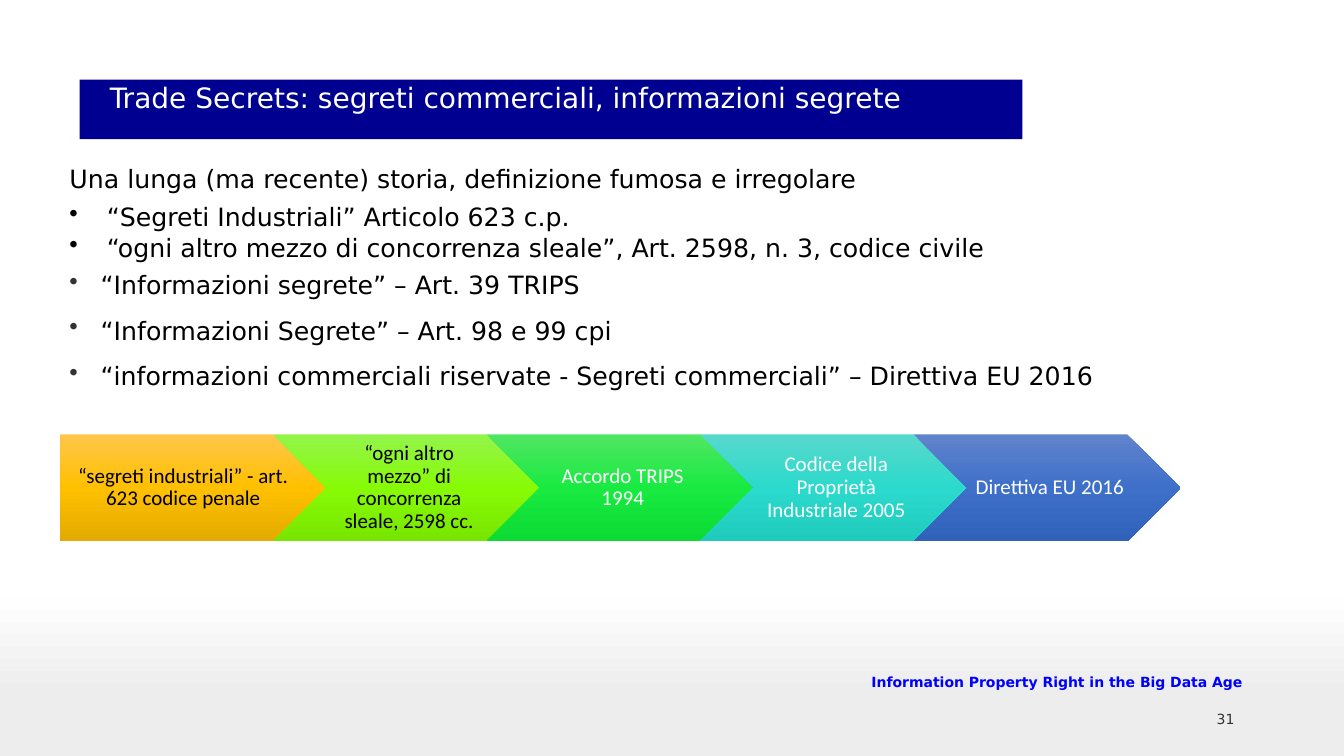
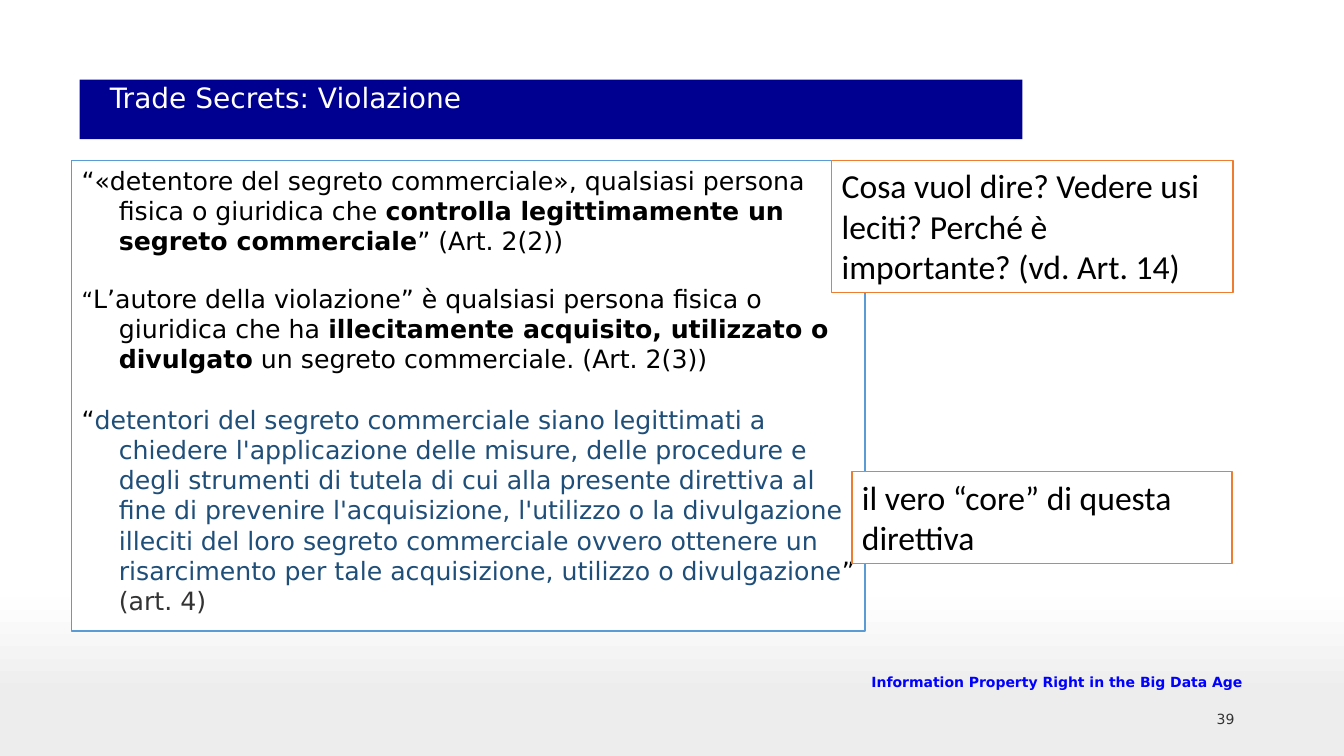
from copy import deepcopy
from dataclasses import dataclass

from lxml.etree import SubElement
from pptx import Presentation
from pptx.dml.color import RGBColor
from pptx.enum.shapes import MSO_SHAPE as Preset
from pptx.enum.text import MSO_ANCHOR as Anchor, PP_ALIGN as Align
from pptx.oxml.ns import qn
from pptx.util import Inches, Pt


@dataclass(frozen=True)
class Theme:
    sans: str = "DejaVu Sans"
    label: str = "Calibri"
    black: str = "000000"
    white: str = "FFFFFF"
    grey: str = "333333"
    navy: str = "000090"
    blue: str = "0000FF"
    quote_blue: str = "1F4E79"
    frame_blue: str = "5B9BD5"
    frame_orange: str = "ED7D31"
    background: tuple = ((0, "FFFFFF"), (0.79, "FEFEFE"), (0.92, "EDEDED"))
    small: int = 10
    arrow: int = 15
    body: int = 18
    title: int = 20
    callout: int = 24


THEME = Theme()
WIDTH, HEIGHT = Inches(13.33), Inches(7.5)

TITLE_AREA = (5.93, 10.53, 70.14, 7.87)
FOOTER_AREA = (59.26, 87.73, 33.91, 5.07)
NUMBER_AREA = (71.72, 93.33, 20.86, 4.4)
BODY_AREA = (4.43, 20.93, 83.42, 63.33)
TIMELINE_AREA = (4.43, 57.47, 83.42, 14.13)
QUOTES_AREA = (5.33, 21.2, 59.04, 62.27)
ARROW_STEP = 0.8

FOOTER = "Information Property Right in the Big Data Age"
PLAIN = {"before": 5, "after": 6}
WIDE_BULLET = {"hang": 0.37, "bullet": THEME.black}
GREY_BULLET = {"hang": 0.31, "bullet": THEME.grey, "before": 5, "after": 6}

HISTORY = [
    ("Una lunga (ma recente) storia, definizione fumosa e irregolare", {"after": 6}),
    ("“Segreti Industriali” Articolo 623 c.p.", WIDE_BULLET),
    ("“ogni altro mezzo di concorrenza sleale”, Art. 2598, n. 3, codice civile", WIDE_BULLET),
    ("“Informazioni segrete” – Art. 39 TRIPS", GREY_BULLET),
    ("“Informazioni Segrete” – Art. 98 e 99 cpi", GREY_BULLET),
    ("“informazioni commerciali riservate - Segreti commerciali” – Direttiva EU 2016", GREY_BULLET),
]

TIMELINE = [
    ("“segreti industriali” - art. 623 codice penale", THEME.black, ("FFC64B", "FFC000", "E3AB00")),
    ("“ogni altro mezzo” di concorrenza sleale, 2598 cc.", THEME.black, ("94F44C", "87FB06", "78E500")),
    ("Accordo TRIPS 1994", THEME.white, ("51E663", "19EA42", "0CDB34")),
    ("Codice della Proprietà Industriale 2005", THEME.white, ("58D8CC", "2BDACC", "1ECBBD")),
    ("Direttiva EU 2016", THEME.white, ("6183CB", "3E70CA", "3062BB")),
]

QUOTES = [
    (0, [
        ("“«detentore del segreto commerciale», qualsiasi persona fisica o giuridica che ", {}),
        ("controlla legittimamente un segreto commerciale", {"bold": True}),
        ("” (Art. 2(2))", {}),
    ]),
    (19.5, [
        ("“", {"size": 16}),
        ("L’autore della violazione” è qualsiasi persona fisica o giuridica che ha ", {}),
        ("illecitamente acquisito, utilizzato o divulgato", {"bold": True}),
        (" un segreto commerciale. (Art. 2(3))", {}),
    ]),
    (21.5, [
        ("“", {}),
        ("detentori del segreto commerciale siano legittimati a chiedere l'applicazione delle "
         "misure, delle procedure e degli strumenti di tutela di cui alla presente direttiva al "
         "fine di prevenire l'acquisizione, l'utilizzo o la divulgazione illeciti del loro segreto "
         "commerciale ovvero ottenere un risarcimento per tale acquisizione, utilizzo o "
         "divulgazione", {"color": THEME.quote_blue}),
        ("” ", {}),
        ("(art. 4)", {"color": THEME.grey}),
    ]),
]

CALLOUTS = [
    ("il vero “core” di questa direttiva", (63.39, 62.4, 28.28, 12.13)),
    ("Cosa vuol dire? Vedere usi leciti? Perché è importante? (vd. Art. 14)",
     (61.89, 21.2, 29.86, 17.47)),
]


def place(area):
    left, top, width, height = area
    return (int(WIDTH * left / 100), int(HEIGHT * top / 100),
            int(WIDTH * width / 100), int(HEIGHT * height / 100))


def paint_gradient(fill, element, stops):
    fill.gradient()
    fill.gradient_angle = 270
    stop_list = element.find(".//" + qn("a:gsLst"))
    stop_list.append(deepcopy(stop_list[-1]))
    for stop, (position, color) in zip(fill.gradient_stops, stops):
        stop.position = position
        stop.color.rgb = RGBColor.from_string(color)


def prepare_frame(shape, anchor, insets=(0.1, 0.05, 0.1, 0.05)):
    frame = shape.text_frame
    frame.word_wrap = True
    frame.vertical_anchor = anchor
    frame.margin_left, frame.margin_top, frame.margin_right, frame.margin_bottom = map(Inches, insets)
    return frame


def add_text_box(slide, area, anchor=Anchor.TOP):
    return prepare_frame(slide.shapes.add_textbox(*place(area)), anchor)


def add_panel(slide, area, fill, line=None):
    shape = slide.shapes.add_shape(Preset.RECTANGLE, *place(area))
    shape.shadow.inherit = False
    shape.fill.solid()
    shape.fill.fore_color.rgb = RGBColor.from_string(fill)
    if line:
        shape.line.color.rgb = RGBColor.from_string(line)
        shape.line.width = Pt(1)
    else:
        shape.line.fill.background()
    return prepare_frame(shape, Anchor.TOP)


def add_paragraph(frame, index=0, align=Align.LEFT, left=0, hang=0, bullet=None,
                  before=0, after=0, spacing=None):
    paragraph = frame.add_paragraph() if index else frame.paragraphs[0]
    properties = paragraph._p.get_or_add_pPr()
    properties.set("marL", str(Inches(left + hang)))
    properties.set("indent", str(-Inches(hang)))
    if bullet:
        bullet_color = SubElement(properties, qn("a:buClr"))
        SubElement(bullet_color, qn("a:srgbClr"), val=bullet)
        SubElement(properties, qn("a:buChar"), char="•")
    paragraph.alignment = align
    paragraph.space_before, paragraph.space_after = Pt(before), Pt(after)
    if spacing:
        paragraph.line_spacing = spacing
    return paragraph


def add_run(paragraph, text, size=THEME.body, font=THEME.sans, color=THEME.black, bold=False):
    run = paragraph.add_run()
    run.text = text
    run.font.name, run.font.size, run.font.bold = font, Pt(size), bold
    run.font.color.rgb = RGBColor.from_string(color)


def add_base_slide(presentation, title, number):
    slide = presentation.slides.add_slide(presentation.slide_layouts[6])
    paint_gradient(slide.background.fill, slide.element, THEME.background)
    band = add_panel(slide, TITLE_AREA, THEME.navy)
    add_run(add_paragraph(band, left=0.2, spacing=0.9), title, THEME.title, color=THEME.white)
    footer = add_text_box(slide, FOOTER_AREA, Anchor.MIDDLE)
    add_run(add_paragraph(footer, align=Align.RIGHT), FOOTER, THEME.small, color=THEME.blue, bold=True)
    page_number = add_text_box(slide, NUMBER_AREA)
    add_run(add_paragraph(page_number, align=Align.RIGHT), number, THEME.small, color=THEME.grey)
    return slide


def add_timeline(slide):
    left, top, span, height = place(TIMELINE_AREA)
    width = span / (1 + ARROW_STEP * (len(TIMELINE) - 1))
    for index, (text, color, shades) in enumerate(TIMELINE):
        preset = Preset.CHEVRON if index else Preset.PENTAGON
        arrow = slide.shapes.add_shape(
            preset, int(left + index * ARROW_STEP * width), top, int(width), height)
        arrow.shadow.inherit = False
        arrow.line.fill.background()
        paint_gradient(arrow.fill, arrow.element, zip((0, 0.5, 1), shades))
        frame = prepare_frame(arrow, Anchor.MIDDLE, (0.07 if index else 0.09, 0.04, 0.02, 0.04))
        paragraph = add_paragraph(frame, align=Align.CENTER, spacing=0.9)
        add_run(paragraph, text, THEME.arrow, THEME.label, color)


def build_history(presentation):
    slide = add_base_slide(
        presentation, "Trade Secrets: segreti commerciali, informazioni segrete", "31")
    frame = add_text_box(slide, BODY_AREA)
    for index, (text, layout) in enumerate(HISTORY):
        add_run(add_paragraph(frame, index, **layout), text)
    add_timeline(slide)


def build_violation(presentation):
    slide = add_base_slide(presentation, "Trade Secrets: Violazione", "39")
    frame = add_panel(slide, QUOTES_AREA, THEME.white, THEME.frame_blue)
    for index, (before, runs) in enumerate(QUOTES):
        paragraph = add_paragraph(frame, index, hang=0.37, before=before)
        for text, style in runs:
            add_run(paragraph, text, **style)
    for text, area in CALLOUTS:
        callout = add_panel(slide, area, THEME.white, THEME.frame_orange)
        add_run(add_paragraph(callout), text, THEME.callout, THEME.label)


def main():
    presentation = Presentation()
    presentation.slide_width, presentation.slide_height = WIDTH, HEIGHT
    build_history(presentation)
    build_violation(presentation)
    presentation.save("out.pptx")


if __name__ == "__main__":
    main()
